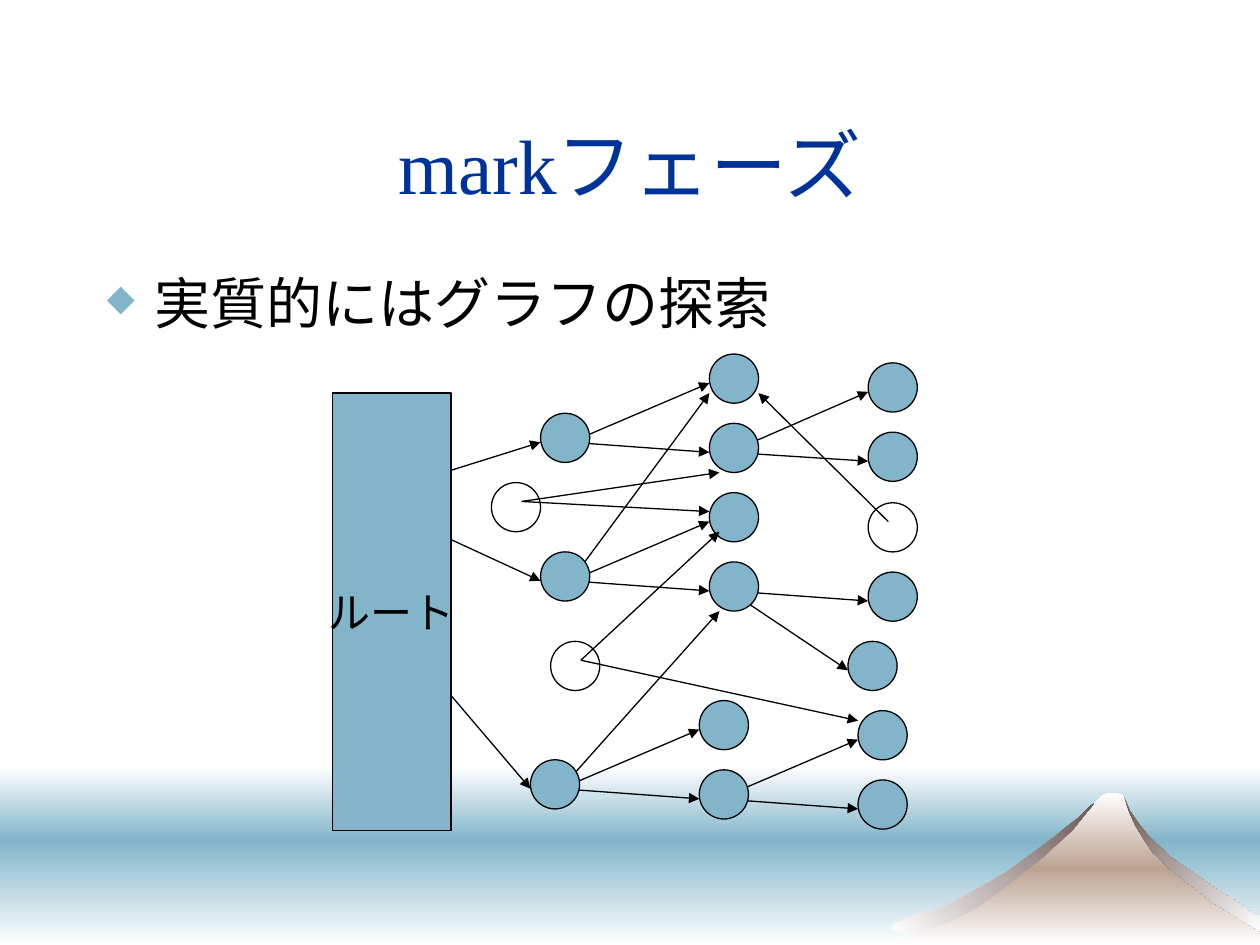
from copy import deepcopy

from pptx import Presentation
from pptx.dml.color import RGBColor
from pptx.enum.shapes import MSO_CONNECTOR as Connector, MSO_SHAPE as Shape
from pptx.enum.text import MSO_ANCHOR as Anchor, PP_ALIGN as Align
from pptx.oxml.ns import qn
from pptx.oxml.xmlchemy import OxmlElement
from pptx.util import Pt

PX = 9144  # EMU per px, 100 px to the inch
BLACK = RGBColor(0x00, 0x00, 0x00)
WHITE = RGBColor(0xFF, 0xFF, 0xFF)
NAVY = RGBColor(0x00, 0x33, 0x99)
SEA = RGBColor(0x82, 0xB5, 0xCA)
SAND = RGBColor(0xBC, 0xA3, 0x92)
ROCK = RGBColor(0x6B, 0x56, 0x53)
SERIF, SANS = "Times New Roman", "Arial"

NODE_SIZE = 39
# name: (left, top)
UNREACHED = {"u1": (390, 383), "u2": (437, 509), "u3": (689, 399)}
REACHED = {
    "a1": (429, 328), "a2": (429, 438), "a3": (421, 603),
    "b1": (563, 281), "b2": (563, 336), "b3": (563, 391),
    "b4": (563, 446), "b5": (555, 556), "b6": (555, 611),
    "c1": (689, 288), "c2": (689, 343), "c3": (689, 454),
    "c4": (673, 509), "c5": (681, 564), "c6": (681, 619),
}
NODES = {**UNREACHED, **REACHED}
ENTRY = (0, 23)  # usual arrow end inside a node's box
ROOT_EDGES = [((327, 383), "a1"), ((327, 414), "a2"), ((335, 525), "a3")]
EDGES = [
    ("a1", "b1", ENTRY), ("a1", "b2", ENTRY),
    ("a2", "b1", (0, 31)), ("a2", "b3", ENTRY), ("a2", "b4", ENTRY),
    ("a3", "b4", (8, 39)), ("a3", "b5", ENTRY), ("a3", "b6", ENTRY),
    ("b2", "c1", ENTRY), ("b2", "c2", ENTRY),
    ("b4", "c3", ENTRY), ("b4", "c4", ENTRY),
    ("b6", "c5", ENTRY), ("b6", "c6", ENTRY),
    ("u1", "b2", (8, 39)), ("u1", "b3", (0, 15)),
    ("u2", "b3", (8, 31)), ("u2", "c5", (0, 8)),
    ("u3", "b1", (39, 31)),
]

MOUNTAIN = [
    (711, 750), (790, 705), (840, 666), (869, 637), (875, 631), (880, 629),
    (886, 629), (891, 631), (903, 657), (922, 680), (968, 712), (1000, 733),
    (1000, 750),
]
RIGHT_RIDGE = [
    (915, 677), (931, 692), (948, 705), (961, 715), (990, 733), (1000, 739),
    (1000, 727), (994, 725), (979, 714), (970, 709), (929, 680), (912, 664),
    (904, 654), (897, 644), (892, 632), (896, 644), (901, 655), (907, 665),
]
LEFT_RIDGE = [
    (832, 668), (799, 692), (782, 702), (751, 719), (735, 723), (720, 729),
    (712, 732), (709, 735), (708, 737), (710, 739), (714, 740), (720, 741),
    (730, 739), (739, 737), (750, 733), (769, 724), (780, 717), (786, 713),
    (827, 681), (851, 659), (864, 643), (868, 638), (865, 640), (856, 649),
]


def add_child(parent, tag, **attributes):
    child = OxmlElement(tag)
    for name, value in attributes.items():
        child.set(name, str(value))
    parent.append(child)
    return child


class SlideBuilder:
    def __init__(self, slide, line_width=Pt(0.75)):
        self.shapes = slide.shapes
        self.line_width = line_width

    def box(self, kind, left, top, width, height, color):
        shape = self.shapes.add_shape(
            kind, left * PX, top * PX, width * PX, height * PX)
        shape.shadow.inherit = False
        shape.fill.solid()
        shape.fill.fore_color.rgb = color
        shape.line.color.rgb = BLACK
        shape.line.width = self.line_width
        return shape

    def gradient(self, shape, colors, angle):
        """Fill with evenly spaced colours, angle clockwise, without outline."""
        shape.shadow.inherit = False
        shape.line.fill.background()
        fill = shape.fill
        fill.gradient()
        fill.gradient_angle = 360 - angle
        stop_list = next(shape.element.spPr.iter(qn("a:gsLst")))
        while len(stop_list) < len(colors):
            stop_list.append(deepcopy(stop_list[-1]))
        for index, (stop, color) in enumerate(zip(fill.gradient_stops, colors)):
            stop.position = index / (len(colors) - 1)
            stop.color.rgb = color

    def band(self, top, height, colors):
        shape = self.box(Shape.RECTANGLE, 0, top, 1000, height, WHITE)
        self.gradient(shape, colors, 90)

    def outline(self, points, colors, angle):
        builder = self.shapes.build_freeform(*points[0], scale=PX)
        builder.add_line_segments(points[1:], close=True)
        self.gradient(builder.convert_to_shape(), colors, angle)

    def node(self, position, color):
        self.box(Shape.OVAL, *position, NODE_SIZE, NODE_SIZE, color)

    def arrow(self, start, end):
        connector = self.shapes.add_connector(
            Connector.STRAIGHT, *(value * PX for value in (*start, *end)))
        connector.line.color.rgb = BLACK
        connector.line.width = self.line_width
        properties = connector.element.spPr
        add_child(properties.find(qn("a:ln")), "a:tailEnd", type="triangle")
        add_child(properties, "a:effectLst")

    def text_box(self, left, top, width, height):
        shape = self.shapes.add_textbox(
            left * PX, top * PX, width * PX, height * PX)
        shape.text_frame.word_wrap = True
        return shape.text_frame

    def text_run(self, paragraph, text, size, font, color):
        run = paragraph.add_run()
        run.text = text
        run.font.size = Pt(size)
        run.font.name = font
        run.font.color.rgb = color

    def bullet(self, paragraph, indent):
        properties = paragraph._p.get_or_add_pPr()
        properties.set("marL", str(indent * PX))
        properties.set("indent", str(-indent * PX))
        color = add_child(properties, "a:buClr")
        add_child(color, "a:srgbClr", val=SEA)
        add_child(properties, "a:buSzPct", val=65000)
        add_child(properties, "a:buChar", char="◆")


def entry_point(name, offset):
    left, top = NODES[name]
    return left + offset[0], top + offset[1]


def exit_point(name):
    left, top = NODES[name]
    in_first_column = left < 500
    return (left + (24 if in_first_column else 16),
            top + (15 if name in UNREACHED else 23))


def draw_scenery(builder):
    builder.band(608, 59, [WHITE, SEA])
    builder.band(667, 83, [SEA, WHITE])
    builder.outline(MOUNTAIN, [WHITE, SAND, WHITE], 90)
    builder.outline(RIGHT_RIDGE, [ROCK, WHITE], 45)
    builder.outline(LEFT_RIDGE, [WHITE, ROCK], 315)


def draw_text(builder):
    title = builder.text_box(75, 67, 850, 125)
    title.vertical_anchor = Anchor.MIDDLE
    title.paragraphs[0].alignment = Align.CENTER
    builder.text_run(title.paragraphs[0], "markフェーズ", 44, SERIF, NAVY)
    body = builder.text_box(75, 208, 850, 450)
    builder.bullet(body.paragraphs[0], 38)
    builder.text_run(
        body.paragraphs[0], "実質的にはグラフの探索", 32, SERIF, BLACK)


def draw_graph(builder):
    """Arrows lie over unreached nodes and b3, and under the other nodes."""
    for position in UNREACHED.values():
        builder.node(position, WHITE)
    builder.node(REACHED["b3"], SEA)
    for start, target in ROOT_EDGES:
        builder.arrow(start, entry_point(target, ENTRY))
    for source, target, offset in EDGES:
        builder.arrow(exit_point(source), entry_point(target, offset))
    for name, position in REACHED.items():
        if name != "b3":
            builder.node(position, SEA)
    frame = builder.box(Shape.RECTANGLE, 264, 312, 94, 347, SEA).text_frame
    frame.word_wrap = False
    frame.vertical_anchor = Anchor.MIDDLE
    frame.paragraphs[0].alignment = Align.CENTER
    builder.text_run(frame.paragraphs[0], "ルート", 24, SANS, BLACK)


def main():
    presentation = Presentation()
    presentation.slide_width = 1000 * PX
    presentation.slide_height = 750 * PX
    builder = SlideBuilder(
        presentation.slides.add_slide(presentation.slide_layouts[6]))
    draw_scenery(builder)
    draw_text(builder)
    draw_graph(builder)
    presentation.save("out.pptx")


if __name__ == "__main__":
    main()
